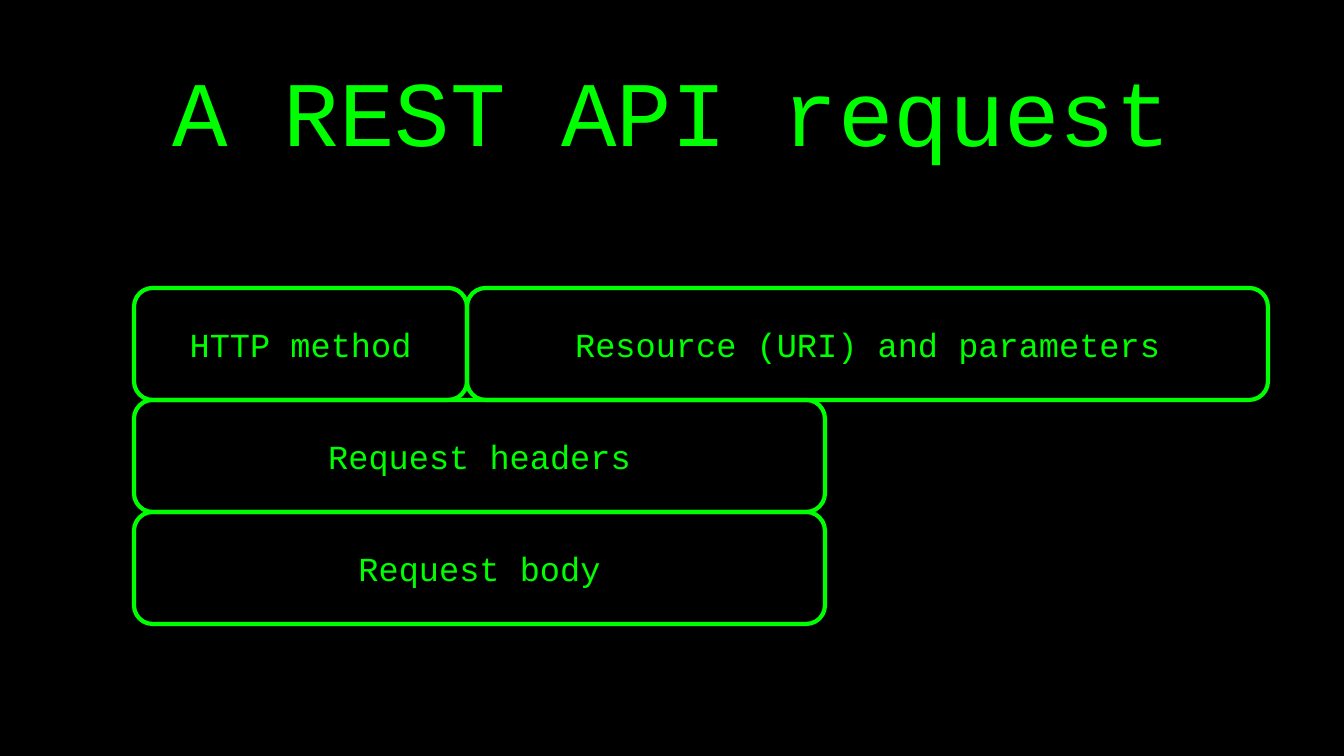
from pptx import Presentation
from pptx.dml.color import RGBColor
from pptx.enum.shapes import MSO_SHAPE
from pptx.enum.text import MSO_ANCHOR, PP_ALIGN
from pptx.util import Emu, Pt

BLACK = RGBColor(0x00, 0x00, 0x00)
GREEN = RGBColor(0x00, 0xFF, 0x00)
ROUNDED = MSO_SHAPE.ROUNDED_RECTANGLE
CENTER = PP_ALIGN.CENTER
TOP, MIDDLE = MSO_ANCHOR.TOP, MSO_ANCHOR.MIDDLE

EMU_PER_PX = 914400 / 100.8
SLIDE_WIDTH, SLIDE_HEIGHT = 1344, 756


def px(length):
    return Emu(round(length * EMU_PER_PX))


class TerminalSlide:
    """Green monospaced text and outlines on black."""

    font_name = "Courier New"
    title_size = Pt(66)
    label_size = Pt(24)
    line_width = Pt(3)

    def __init__(self, presentation):
        self.slide = presentation.slides.add_slide(presentation.slide_layouts[6])
        fill = self.slide.background.fill
        fill.solid()
        fill.fore_color.rgb = BLACK

    def set_text(self, shape, text, size, anchor):
        text_frame = shape.text_frame
        text_frame.word_wrap = True
        text_frame.vertical_anchor = anchor
        text_frame.text = text
        paragraph = text_frame.paragraphs[0]
        paragraph.alignment = CENTER
        font = paragraph.runs[0].font
        font.name = self.font_name
        font.size = size
        font.color.rgb = GREEN

    def title(self, text, left, top, width, height):
        shape = self.slide.shapes.add_textbox(px(left), px(top), px(width), px(height))
        self.set_text(shape, text, self.title_size, TOP)

    def box(self, text, left, top, width, height):
        shape = self.slide.shapes.add_shape(
            ROUNDED, px(left), px(top), px(width), px(height))
        shape.shadow.inherit = False
        shape.fill.background()
        shape.line.color.rgb = GREEN
        shape.line.width = self.line_width
        self.set_text(shape, text, self.label_size, MIDDLE)


# Each row of the request lists its boxes as (label, width)
REQUEST_ROWS = [
    [("HTTP method", 333), ("Resource (URI) and parameters", 801)],
    [("Request headers", 691)],
    [("Request body", 691)],
]
ROWS_LEFT, ROWS_TOP, ROW_HEIGHT = 134, 288, 112


def main():
    presentation = Presentation()
    presentation.slide_width = px(SLIDE_WIDTH)
    presentation.slide_height = px(SLIDE_HEIGHT)
    page = TerminalSlide(presentation)

    # Title
    page.title("A REST API request", 0, 49, SLIDE_WIDTH, 122)

    # Parts of the request, stacked without gaps
    for row, boxes in enumerate(REQUEST_ROWS):
        left = ROWS_LEFT
        for label, width in boxes:
            page.box(label, left, ROWS_TOP + row * ROW_HEIGHT, width, ROW_HEIGHT)
            left += width

    presentation.save("out.pptx")


if __name__ == "__main__":
    main()
